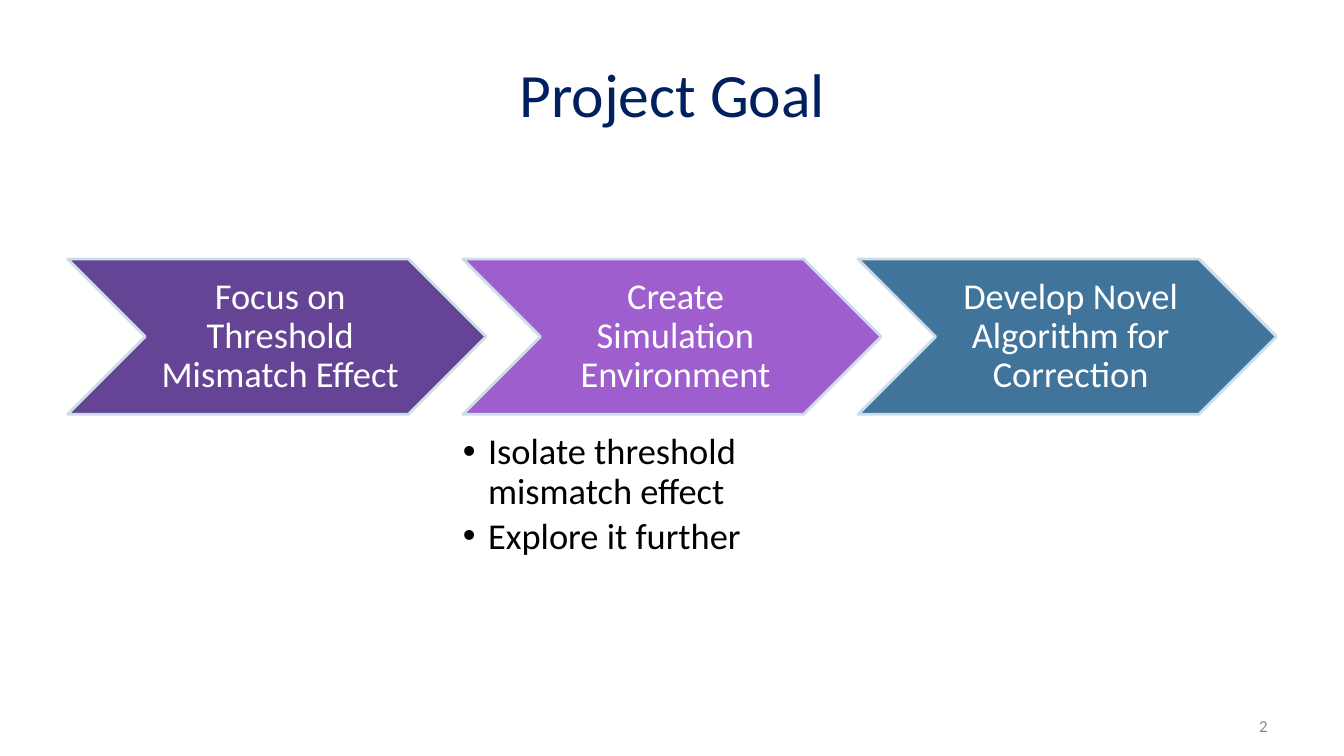
import pptx
import pptx.dml.color
import pptx.enum.shapes
import pptx.enum.text
import pptx.oxml.ns
import pptx.util
from lxml import etree

EMU_PER_PX = 9144  # 100 px to the inch
FONT = "Calibri"
ALIGN = pptx.enum.text.PP_ALIGN
MIDDLE = pptx.enum.text.MSO_ANCHOR.MIDDLE

STEPS = [
    ("Focus on Threshold Mismatch Effect", "654496", []),
    ("Create Simulation Environment", "9E5ECE",
     ["Isolate threshold mismatch effect", "Explore it further"]),
    ("Develop Novel Algorithm for Correction", "40749B", []),
]
STEP_LEFT, STEP_TOP, STEP_PITCH = 67, 257, 392
STEP_WIDTH, STEP_HEIGHT = 415, 154


def px(length):
    return pptx.util.Emu(length * EMU_PER_PX)


def color(hex_code):
    return pptx.dml.color.RGBColor.from_string(hex_code)


def set_margins(text_frame, left, top, right, bottom):
    text_frame.margin_left, text_frame.margin_top = px(left), px(top)
    text_frame.margin_right, text_frame.margin_bottom = px(right), px(bottom)


def format_paragraph(paragraph, size, hex_code, align):
    paragraph.alignment = align
    for run in paragraph.runs:
        run.font.name = FONT
        run.font.size = pptx.util.Pt(size)
        run.font.color.rgb = color(hex_code)


def add_bullet(paragraph, indent):
    properties = paragraph._p.get_or_add_pPr()
    properties.set("marL", str(px(indent)))
    properties.set("indent", str(-px(indent)))
    for tag, name, value in (("a:buFont", "typeface", "Arial"), ("a:buChar", "char", "•")):
        etree.SubElement(properties, pptx.oxml.ns.qn(tag)).set(name, value)


def add_title(slide, text):
    title = slide.shapes.title
    title.left, title.top, title.width, title.height = px(67), px(30), px(1200), px(125)
    title.text_frame.text = text
    title.text_frame.vertical_anchor = MIDDLE
    format_paragraph(title.text_frame.paragraphs[0], 44, "002060", ALIGN.CENTER)


def add_text_box(slide, left, top, width, height, text):
    box = slide.shapes.add_textbox(px(left), px(top), px(width), px(height))
    box.text_frame.word_wrap = True
    box.text_frame.text = text
    return box.text_frame


def add_chevron(slide, left, text, fill):
    shape = slide.shapes.add_shape(
        pptx.enum.shapes.MSO_SHAPE.CHEVRON,
        px(left), px(STEP_TOP), px(STEP_WIDTH), px(STEP_HEIGHT))
    shape.shadow.inherit = False
    shape.fill.solid()
    shape.fill.fore_color.rgb = color(fill)
    shape.line.color.rgb = color("CCDDEA")
    shape.line.width = pptx.util.Pt(2)
    text_frame = shape.text_frame
    text_frame.word_wrap = True
    text_frame.vertical_anchor = MIDDLE
    set_margins(text_frame, 11, 4, 4, 4)
    text_frame.text = text
    paragraph = text_frame.paragraphs[0]
    paragraph.line_spacing = 0.9
    format_paragraph(paragraph, 26, "FFFFFF", ALIGN.CENTER)


def add_bullet_list(slide, left, items):
    text_frame = add_text_box(slide, left, 430, 332, 128, "\n".join(items))
    set_margins(text_frame, 0, 0, 0, 0)
    for paragraph in text_frame.paragraphs:
        paragraph.line_spacing = 0.9
        paragraph.space_after = pptx.util.Pt(4)
        add_bullet(paragraph, 25)
        format_paragraph(paragraph, 26, "000000", ALIGN.LEFT)


def add_slide_number(slide, number):
    text_frame = add_text_box(slide, 956, 700, 311, 40, number)
    text_frame.vertical_anchor = MIDDLE
    format_paragraph(text_frame.paragraphs[0], 12, "8C8C8C", ALIGN.RIGHT)


def main():
    presentation = pptx.Presentation()
    presentation.slide_width, presentation.slide_height = px(1333), px(750)
    slide = presentation.slides.add_slide(presentation.slide_layouts[5])

    add_title(slide, "Project Goal")
    add_slide_number(slide, "2")

    # Process steps, with details below where there are any
    for index, (text, fill, details) in enumerate(STEPS):
        left = STEP_LEFT + index * STEP_PITCH
        add_chevron(slide, left, text, fill)
        if details:
            add_bullet_list(slide, left, details)

    presentation.save("out.pptx")


if __name__ == "__main__":
    main()
